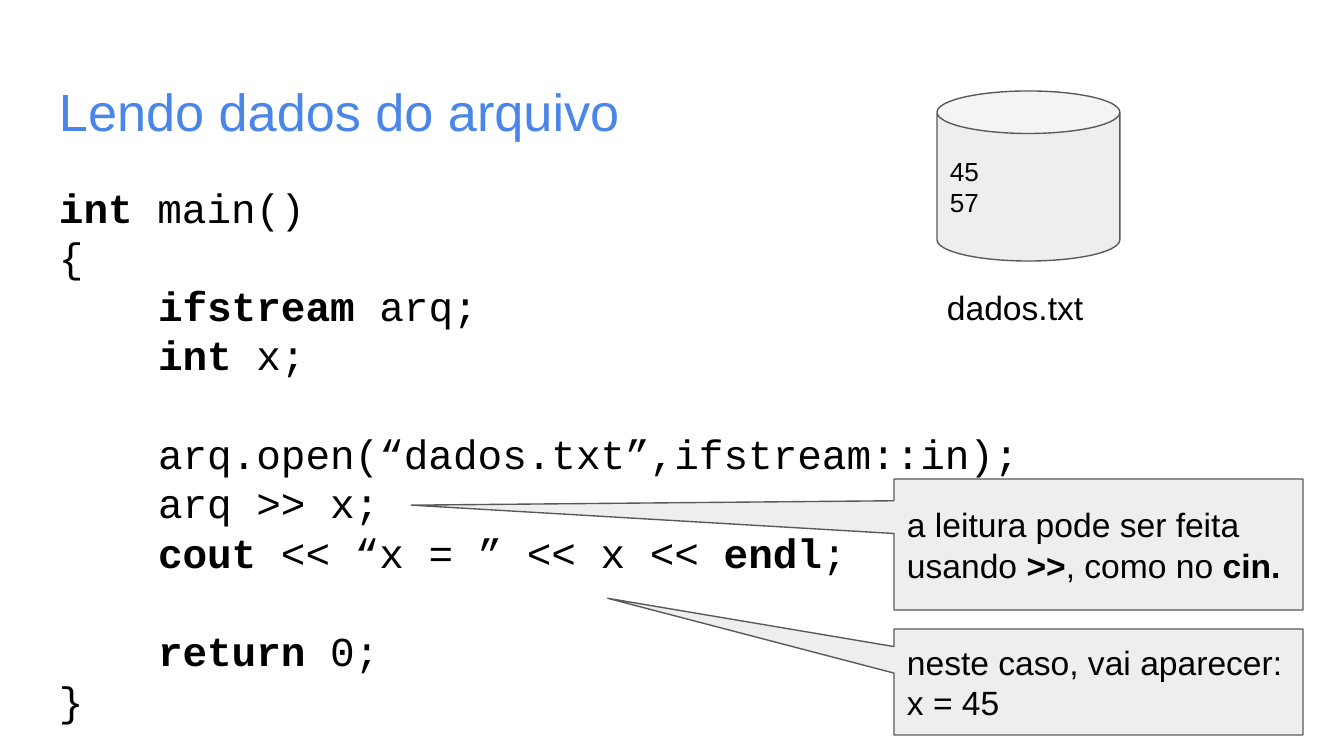
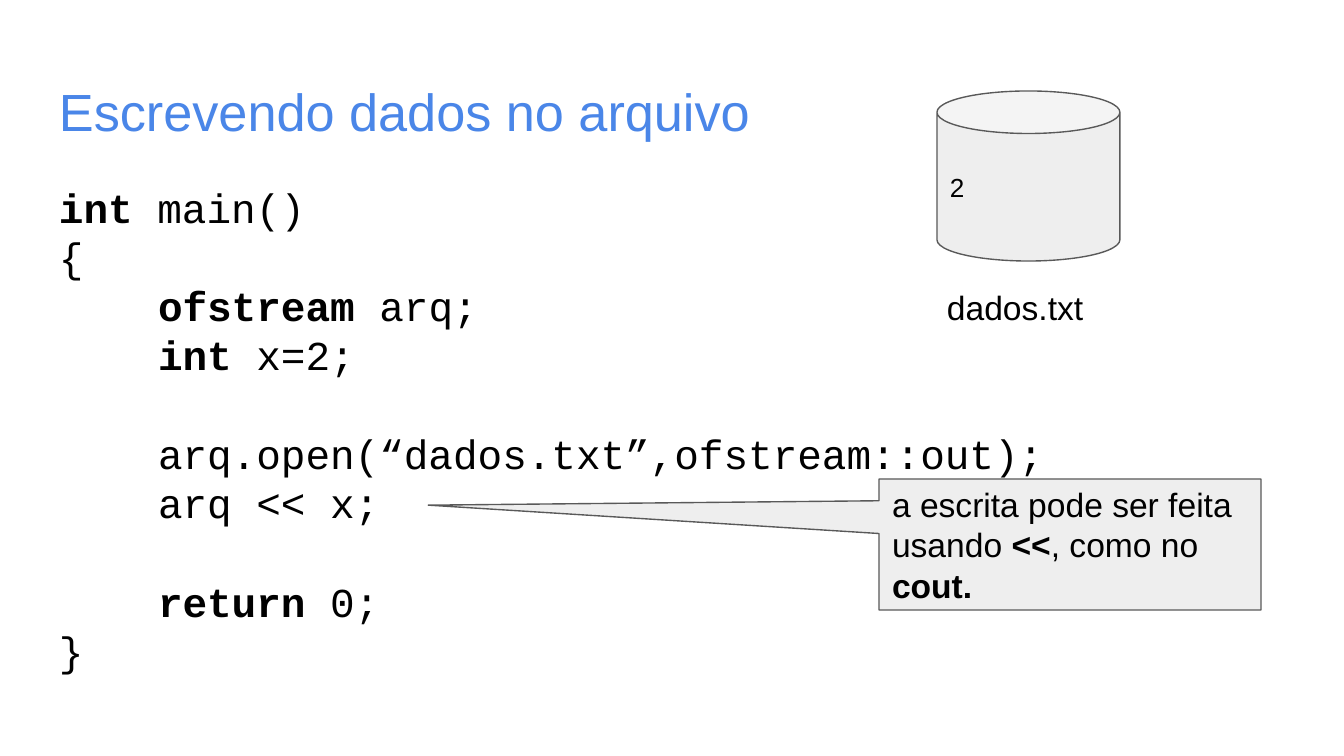
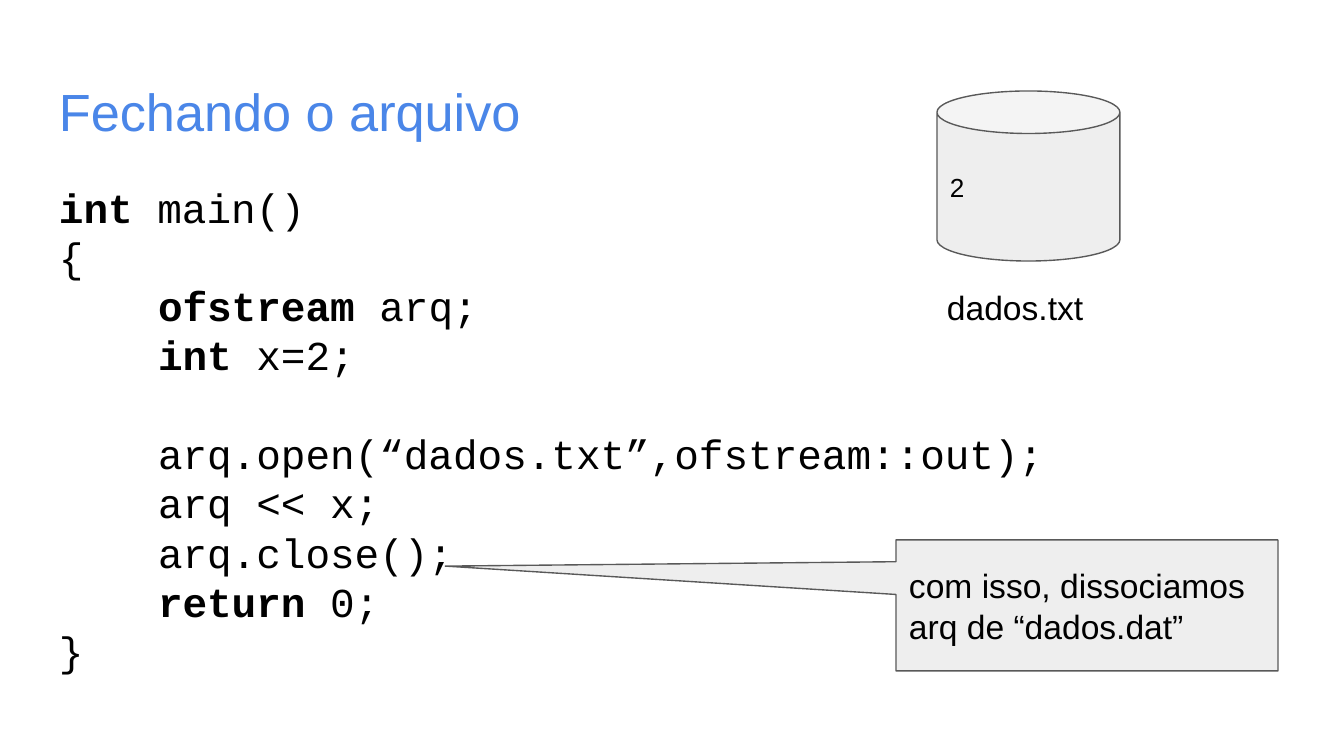
from dataclasses import dataclass

from lxml.etree import SubElement
from pptx import Presentation
from pptx.dml.color import RGBColor
from pptx.enum.shapes import MSO_SHAPE
from pptx.enum.text import MSO_ANCHOR, MSO_AUTO_SIZE, PP_ALIGN
from pptx.oxml.ns import qn
from pptx.util import Emu, Pt

EMU_PER_PX = 914400 / 134.4


@dataclass(frozen=True)
class TextStyle:
    """Font, size in points and colour of a kind of text."""
    font: str
    size: int
    color: str = "000000"


@dataclass(frozen=True)
class Theme:
    """Colours, type sizes and shared measures of the slides."""
    title: TextStyle = TextStyle("Arial", 28, "4A86E8")
    code: TextStyle = TextStyle("Courier New", 22)
    label: TextStyle = TextStyle("Arial", 18)
    data: TextStyle = TextStyle("Arial", 14)
    background: str = "FFFFFF"
    fill: str = "EEEEEE"
    outline: str = "595959"
    outline_width: float = 0.75
    inset: int = 13
    code_indent: int = 99
    code_gap: float = 26.5


@dataclass(frozen=True)
class CodeLine:
    """A line of code, with its indent and the gap above it."""
    text: str
    indented: bool = True
    gap: bool = False


THEME = Theme()


def px(length):
    """Turn pixels into EMU."""
    return Emu(round(length * EMU_PER_PX))


def box(left, top, width, height):
    """Turn a box in pixels into EMU."""
    return [px(length) for length in (left, top, width, height)]


def place(shape, *bounds):
    """Move and size a placeholder."""
    shape.left, shape.top, shape.width, shape.height = box(*bounds)


def format_frame(frame, anchor=MSO_ANCHOR.TOP):
    """Set wrapping, insets and anchor of a text frame."""
    frame.word_wrap = True
    frame.auto_size = MSO_AUTO_SIZE.NONE
    frame.vertical_anchor = anchor
    frame.margin_left = frame.margin_right = px(THEME.inset)
    frame.margin_top = frame.margin_bottom = px(THEME.inset)


def add_runs(paragraph, text, style):
    """Add runs to a paragraph, with the parts between asterisks in bold."""
    for position, part in enumerate(text.split("*")):
        if part:
            run = paragraph.add_run()
            run.text = part
            run.font.name = style.font
            run.font.size = Pt(style.size)
            run.font.bold = position % 2 == 1
            run.font.color.rgb = RGBColor.from_string(style.color)


def write_lines(frame, lines, style):
    """Write one left-aligned paragraph per line and return the paragraphs."""
    paragraphs = []
    for position, line in enumerate(lines):
        paragraph = frame.add_paragraph() if position else frame.paragraphs[0]
        paragraph.alignment = PP_ALIGN.LEFT
        add_runs(paragraph, line, style)
        paragraphs.append(paragraph)
    return paragraphs


def add_title(slide, text):
    """Fill the title placeholder."""
    title = slide.shapes.title
    place(title, 46, 66, 1253, 85)
    format_frame(title.text_frame)
    write_lines(title.text_frame, [text], THEME.title)


def add_code(slide, lines):
    """Fill the body placeholder with indented code."""
    body = slide.placeholders[1]
    place(body, 46, 169, 1148, 503)
    format_frame(body.text_frame)
    paragraphs = write_lines(body.text_frame, [line.text for line in lines], THEME.code)
    for paragraph, line in zip(paragraphs, lines):
        properties = paragraph._p.get_or_add_pPr()
        properties.set("marL", str(px(THEME.code_indent if line.indented else 0)))
        properties.set("indent", "0")
        SubElement(properties, qn("a:buNone"))
        paragraph.space_before = Pt(THEME.code_gap if line.gap else 0)


def add_filled_shape(shapes, kind, bounds, lines, style):
    """Add a grey outlined preset shape with text."""
    shape = shapes.add_shape(kind, *box(*bounds))
    shape.shadow.inherit = False
    shape.fill.solid()
    shape.fill.fore_color.rgb = RGBColor.from_string(THEME.fill)
    shape.line.color.rgb = RGBColor.from_string(THEME.outline)
    shape.line.width = Pt(THEME.outline_width)
    format_frame(shape.text_frame, MSO_ANCHOR.MIDDLE)
    write_lines(shape.text_frame, lines, style)
    return shape


def add_data_file(slide, values):
    """Add the data file: a can with its values, grouped with its name."""
    group = slide.shapes.add_group_shape()
    can = add_filled_shape(group.shapes, MSO_SHAPE.CAN, (937, 91, 183, 170), values, THEME.data)
    can.adjustments[0] = 0.25
    label = group.shapes.add_textbox(*box(934, 274, 183, 65))
    format_frame(label.text_frame)
    write_lines(label.text_frame, ["dados.txt"], THEME.label)


def add_callout(slide, bounds, lines, tip=(-1.68, -0.3)):
    """Add a callout whose tip is given relative to its centre."""
    callout = add_filled_shape(
        slide.shapes, MSO_SHAPE.RECTANGULAR_CALLOUT, bounds, lines, THEME.label)
    for position, offset in enumerate(tip):
        callout.adjustments[position] = offset


def program(stream, variable, mode, statements, closing_gap):
    """Return the lines of a main() that opens the file and runs statements."""
    return [
        CodeLine("*int* main()", indented=False),
        CodeLine("{", indented=False),
        CodeLine(f"*{stream} *arq;"),
        CodeLine(f"*int *{variable};"),
        CodeLine(f"arq.open(“dados.txt”,{stream}::{mode});", gap=True),
        *[CodeLine(statement) for statement in statements],
        CodeLine("*return *0;", gap=closing_gap),
        CodeLine("}", indented=False),
    ]


def add_file_slide(presentation, title, code, values):
    """Add a slide with title, code and data file."""
    slide = presentation.slides.add_slide(presentation.slide_layouts[1])
    slide.background.fill.solid()
    slide.background.fill.fore_color.rgb = RGBColor.from_string(THEME.background)
    add_title(slide, title)
    add_code(slide, code)
    add_data_file(slide, values)
    return slide


def main():
    """Build the three slides and save them."""
    presentation = Presentation()
    presentation.slide_width, presentation.slide_height = px(1344), px(756)

    reading = add_file_slide(
        presentation, "Lendo dados do arquivo",
        program("ifstream", "x", "in",
                ["arq >> x;", "*cout *<< “x = ” << x << *endl*;"], True),
        ["45", "57"])
    add_callout(reading, (894, 479, 409, 131),
                ["a leitura pode ser feita usando *>>*, como no *cin.*"])
    add_callout(reading, (894, 629, 409, 106),
                ["neste caso, vai aparecer:", "x = 45"], tip=(-1.2, -0.79))

    writing = add_file_slide(
        presentation, "Escrevendo dados no arquivo",
        program("ofstream", "x=2", "out", ["arq << x;"], True), ["2"])
    add_callout(writing, (879, 479, 382, 131),
                ["a escrita pode ser feita usando *<<*, como no *cout.*"])

    closing = add_file_slide(
        presentation, "Fechando o arquivo",
        program("ofstream", "x=2", "out", ["arq << x;", "arq.close();"], False), ["2"])
    add_callout(closing, (896, 540, 382, 131),
                ["com isso, dissociamos arq de “dados.dat”"])

    presentation.save("out.pptx")


if __name__ == "__main__":
    main()
